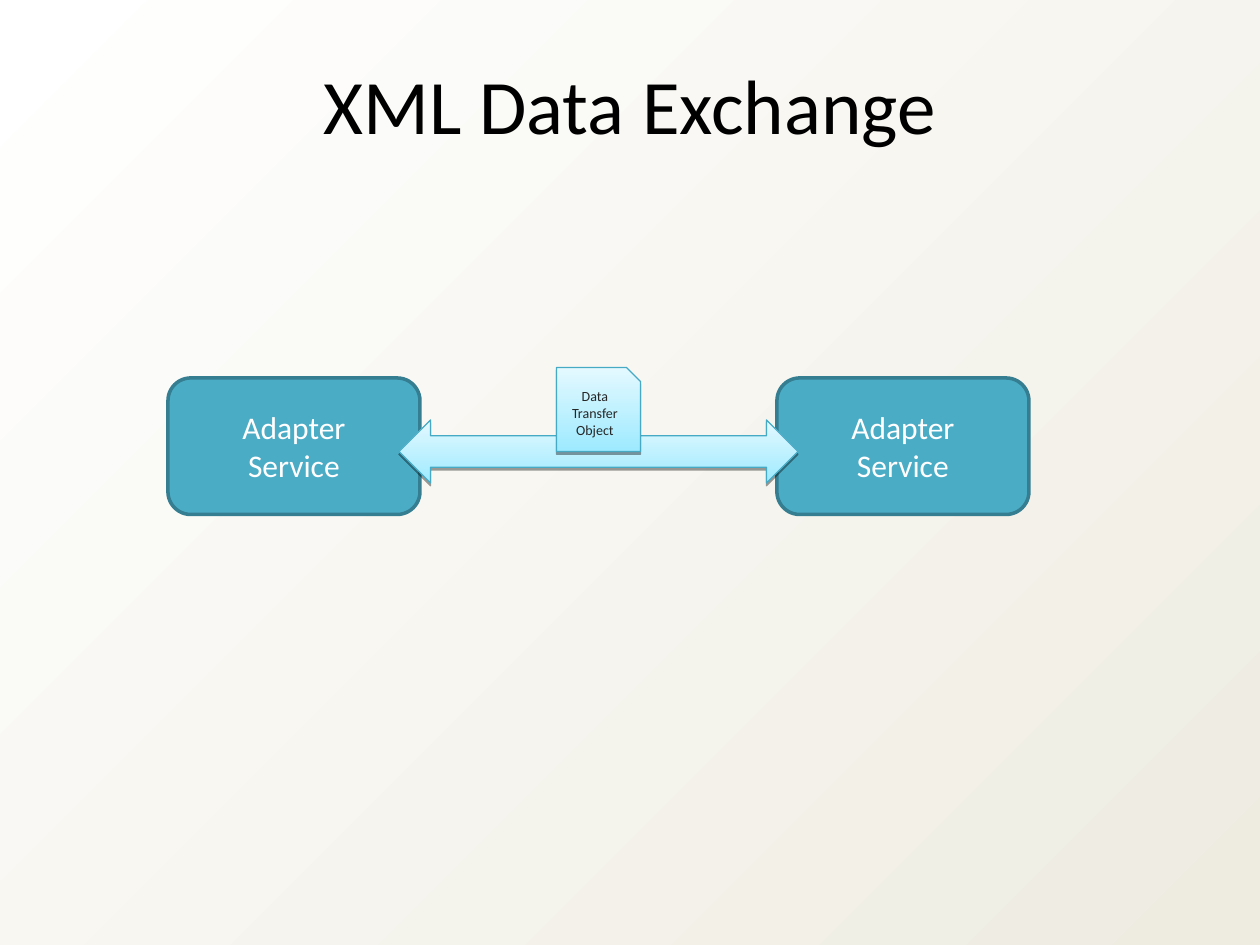
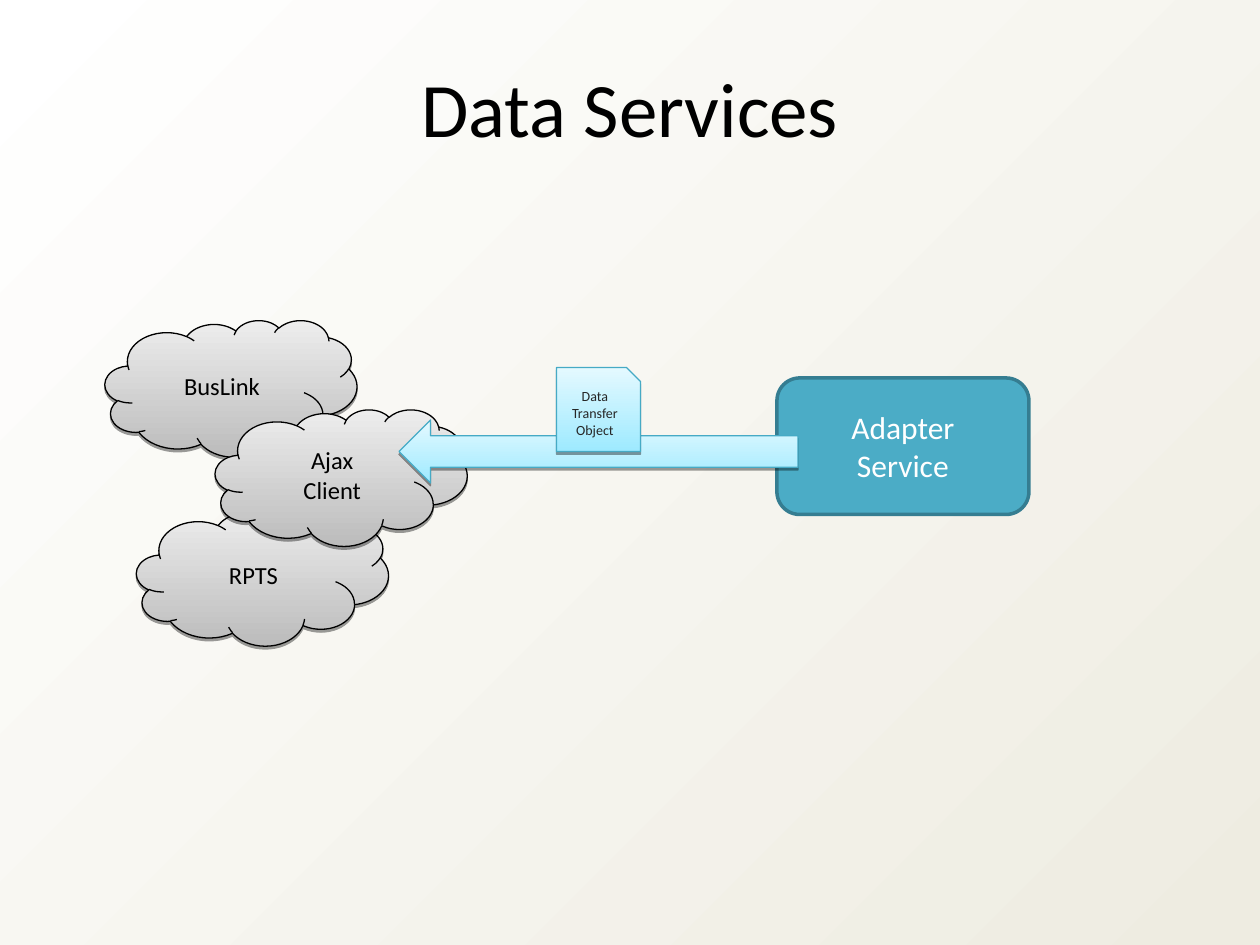
"""Builds two slides on XML data exchange and data services."""
import pptx
import pptx.dml.color
import pptx.enum.shapes
import pptx.enum.text
import pptx.util
from lxml import etree

Pt = pptx.util.Pt
SHAPES = pptx.enum.shapes.MSO_SHAPE
DRAWING = "{http://schemas.openxmlformats.org/drawingml/2006/main}"

FONT = "Calibri"
BACKGROUND = ("FFFFFF", "EEECE1")

SERVICE = dict(kind=SHAPES.ROUNDED_RECTANGLE, width=144, height=78, fill="4BACC6",
               line="357D91", weight=2, size=18, color="FFFFFF")
CLOUD = dict(kind=SHAPES.CLOUD, width=144, height=78, fill=("BCBCBC", "EDEDED"),
             line="000000", size=14, color="000000", shadow=True)
FLOW = dict(width=228, height=36, fill=("9EEAFF", "E4F9FF"), line="46AAC5", shadow=True)
DOCUMENT = dict(FLOW, kind=SHAPES.SNIP_1_RECTANGLE, width=48, height=48, size=8,
                color="262626")
TWO_WAY = dict(FLOW, kind=SHAPES.LEFT_RIGHT_ARROW)
ONE_WAY = dict(FLOW, kind=SHAPES.LEFT_ARROW)

RIGHT_SERVICE = ("Adapter\nService", 444, 216, SERVICE)
TRANSFER_OBJECT = ("Data Transfer Object", 318, 210, DOCUMENT)

SLIDES = [
    ("XML Data Exchange", 29.5, [
        RIGHT_SERVICE,
        ("Adapter\nService", 96, 216, SERVICE),
        ("", 228, 240, TWO_WAY),
        TRANSFER_OBJECT,
    ]),
    ("Data Services", 31, [
        RIGHT_SERVICE,
        ("BusLink", 60, 183, CLOUD),
        ("RPTS", 78, 291, CLOUD),
        ("Ajax\nClient", 123, 234, CLOUD),
        ("", 228, 240, ONE_WAY),
        TRANSFER_OBJECT,
    ]),
]


def rgb(value):
    return pptx.dml.color.RGBColor.from_string(value)


def paint(fill, colors, angle):
    if isinstance(colors, str):
        fill.solid()
        fill.fore_color.rgb = rgb(colors)
        return
    fill.gradient()
    fill.gradient_angle = angle
    for stop, color in zip(fill.gradient_stops, colors):
        stop.color.rgb = rgb(color)


def write(frame, text, size, color, anchor=pptx.enum.text.MSO_ANCHOR.MIDDLE):
    frame.word_wrap = True
    frame.vertical_anchor = anchor
    para = frame.paragraphs[0]
    para.alignment = pptx.enum.text.PP_ALIGN.CENTER
    para.text = text
    for span in para.runs:
        span.font.name = FONT
        span.font.size = Pt(size)
        span.font.color.rgb = rgb(color)


def add_shadow(shape):
    effects = shape._element.spPr.find(DRAWING + "effectLst")
    outer = etree.SubElement(effects, DRAWING + "outerShdw", blurRad="0",
                             dist=str(Pt(1.6)), dir="5400000", rotWithShape="0")
    black = etree.SubElement(outer, DRAWING + "srgbClr", val="000000")
    etree.SubElement(black, DRAWING + "alpha", val="38000")


def add_part(page, text, left, top, kind, width, height, fill, line, weight=0.75,
             size=None, color=None, shadow=False):
    shape = page.shapes.add_shape(kind, Pt(left), Pt(top), Pt(width), Pt(height))
    paint(shape.fill, fill, 90)
    shape.line.color.rgb = rgb(line)
    shape.line.width = Pt(weight)
    shape.shadow.inherit = False
    if shadow:
        add_shadow(shape)
    if text:
        write(shape.text_frame, text, size, color)


def add_title(page, text, top):
    box = page.shapes.add_textbox(Pt(12), Pt(top), Pt(696), Pt(60.5))
    write(box.text_frame, text, 44, "000000", pptx.enum.text.MSO_ANCHOR.TOP)
    box.text_frame.auto_size = pptx.enum.text.MSO_AUTO_SIZE.SHAPE_TO_FIT_TEXT


def main():
    deck = pptx.Presentation()
    deck.slide_width, deck.slide_height = Pt(720), Pt(540)
    paint(deck.slide_master.background.fill, BACKGROUND, 315)
    for title, title_top, parts in SLIDES:
        page = deck.slides.add_slide(deck.slide_layouts[6])
        add_title(page, title, title_top)
        for text, left, top, style in parts:
            add_part(page, text, left, top, **style)
    deck.save("out.pptx")


if __name__ == "__main__":
    main()
